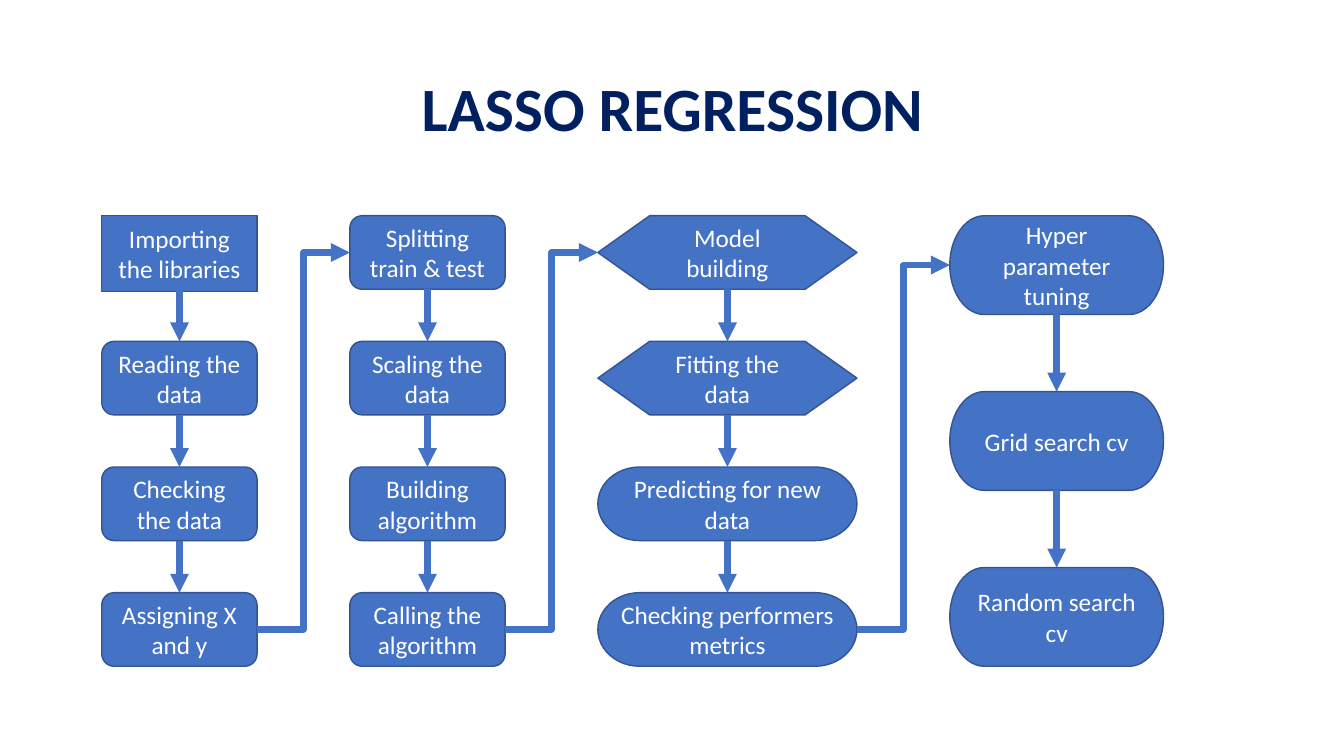
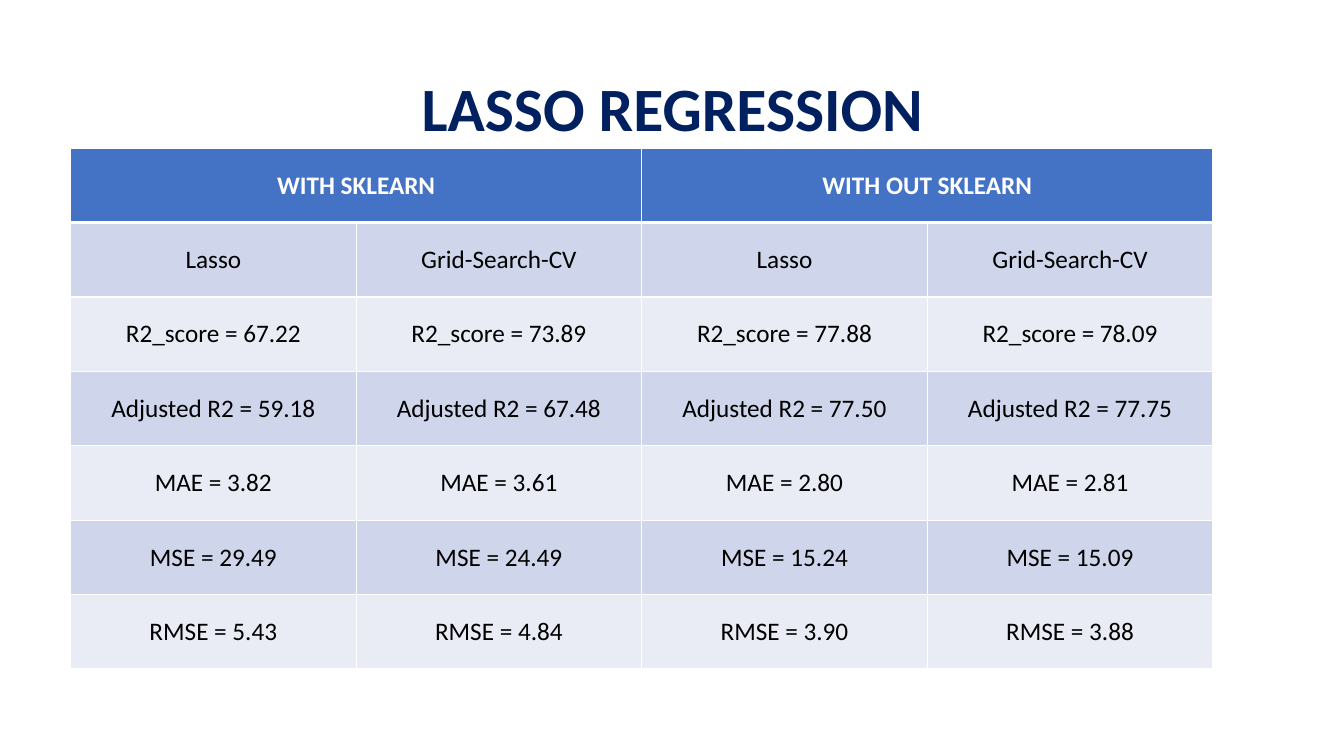
from itertools import pairwise

from lxml import etree
from pptx import Presentation
from pptx import util as u
from pptx.dml import color
from pptx.enum import shapes, text
from pptx.oxml import ns

FONT = "Calibri"
TITLE = "LASSO REGRESSION"
NAVY, BLUE, EDGE = "002060", "4472C4", "325491"
WHITE, BLACK = "FFFFFF", "000000"
BANDS = ("CFD5EA", "E9EBF5")

FLOW_TOP, FLOW_BOTTOM = 2.14, 6.61
BOTTOM_SITE, LEFT_SITE, RIGHT_SITE = 2, 1, 3

PROCESS = shapes.MSO_SHAPE.FLOWCHART_PROCESS
ROUNDED = shapes.MSO_SHAPE.FLOWCHART_ALTERNATE_PROCESS
HEXAGON = shapes.MSO_SHAPE.FLOWCHART_PREPARATION
PILL = shapes.MSO_SHAPE.FLOWCHART_TERMINATOR

# Each stage: left, width, step height, steps from top to bottom
STAGES = [
    (1.01, 1.54, 0.73, [
        (PROCESS, "Importing the libraries"),
        (ROUNDED, "Reading the data"),
        (ROUNDED, "Checking the data"),
        (ROUNDED, "Assigning X and y"),
    ]),
    (3.47, 1.54, 0.73, [
        (ROUNDED, "Splitting train & test"),
        (ROUNDED, "Scaling the data"),
        (ROUNDED, "Building algorithm"),
        (ROUNDED, "Calling the algorithm"),
    ]),
    (5.93, 2.57, 0.73, [
        (HEXAGON, "Model building"),
        (HEXAGON, "Fitting the data"),
        (PILL, "Predicting for new data"),
        (PILL, "Checking performers metrics"),
    ]),
    (9.42, 2.12, 0.98, [
        (PILL, "Hyper parameter\ntuning"),
        (PILL, "Grid search cv"),
        (PILL, "Random search cv"),
    ]),
]

LIBRARIES = ["WITH SKLEARN", "WITH OUT SKLEARN"]
METHODS = ["Lasso", "Grid-Search-CV"] * 2
METRICS = {
    "R2_score": ["67.22", "73.89", "77.88", "78.09"],
    "Adjusted R2": ["59.18", "67.48", "77.50", "77.75"],
    "MAE": ["3.82", "3.61", "2.80", "2.81"],
    "MSE": ["29.49", "24.49", "15.24", "15.09"],
    "RMSE": ["5.43", "4.84", "3.90", "3.88"],
}


def rgb(hex_code):
    """Turn a hex string into a colour."""
    return color.RGBColor.from_string(hex_code)


def write(frame, words, size, ink, bold=False):
    """Fill a text frame with centred text in one style."""
    frame.text = words
    for paragraph in frame.paragraphs:
        paragraph.alignment = text.PP_ALIGN.CENTER
        for run in paragraph.runs:
            run.font.name = FONT
            run.font.size = u.Pt(size)
            run.font.bold = bold
            run.font.color.rgb = rgb(ink)


def add_titled_slide(deck):
    """Add a title-only slide with the shared heading."""
    slide = deck.slides.add_slide(deck.slide_layouts[5])
    title = slide.shapes.title
    title.left, title.top = u.Inches(0.92), u.Inches(0.38)
    title.width, title.height = u.Inches(11.5), u.Inches(1.45)
    write(title.text_frame, TITLE, 44, NAVY, bold=True)
    title.text_frame.vertical_anchor = text.MSO_ANCHOR.MIDDLE
    title.text_frame.paragraphs[0].line_spacing = 0.9
    return slide


def add_step(slide, kind, label, left, top, width, height):
    """Add one labelled flowchart step."""
    step = slide.shapes.add_shape(
        kind, u.Inches(left), u.Inches(top), u.Inches(width), u.Inches(height))
    step.shadow.inherit = False
    step.fill.solid()
    step.fill.fore_color.rgb = rgb(BLUE)
    step.line.color.rgb = rgb(EDGE)
    step.line.width = u.Pt(1)
    write(step.text_frame, label, 18, WHITE)
    step.text_frame.word_wrap = True
    step.text_frame.vertical_anchor = text.MSO_ANCHOR.MIDDLE
    return step


def add_arrow(slide, route, source, source_site, target, target_site):
    """Join two steps with a thick arrow."""
    arrow = slide.shapes.add_connector(route, 0, 0, 0, 0)
    arrow.begin_connect(source, source_site)
    arrow.end_connect(target, target_site)
    arrow.line.color.rgb = rgb(BLUE)
    arrow.line.width = u.Pt(4.5)
    etree.SubElement(arrow.line._get_or_add_ln(), ns.qn("a:tailEnd"), type="triangle")
    etree.SubElement(arrow._element.spPr, ns.qn("a:effectLst"))


def add_stage(slide, left, width, height, steps):
    """Spread a column of steps evenly and link them downwards."""
    pitch = (FLOW_BOTTOM - FLOW_TOP - height) / (len(steps) - 1)
    column = []
    for row, (kind, label) in enumerate(steps):
        step_height = 0.75 if kind == PROCESS else height
        column.append(add_step(
            slide, kind, label, left, FLOW_TOP + row * pitch, width, step_height))
    for upper, lower in pairwise(column):
        add_arrow(slide, shapes.MSO_CONNECTOR.STRAIGHT, upper, BOTTOM_SITE, lower, 0)
    return column


def add_borders(cell, top, bottom):
    """Give a cell white borders, with the top and bottom widths in points."""
    properties = cell._tc.get_or_add_tcPr()
    widths = {"a:lnL": 1, "a:lnR": 1, "a:lnT": top, "a:lnB": bottom}
    for place, (side, width) in enumerate(widths.items()):
        border = etree.Element(ns.qn(side), w=str(u.Pt(width)))
        fill = etree.SubElement(border, ns.qn("a:solidFill"))
        etree.SubElement(fill, ns.qn("a:srgbClr"), val=WHITE)
        properties.insert(place, border)


def add_score_table(slide):
    """Add the table of scores for each library and method."""
    header = [LIBRARIES[0], "", LIBRARIES[1], ""]
    scores = [[f"{metric} = {value}" for value in values]
              for metric, values in METRICS.items()]
    rows = [header, METHODS] + scores
    table = slide.shapes.add_table(
        len(rows), len(METHODS), u.Inches(0.7), u.Inches(1.47),
        u.Inches(11.33), u.Inches(5.17)).table
    for r, row in enumerate(rows):
        is_header = r == 0
        for c, words in enumerate(row):
            cell = table.cell(r, c)
            write(cell.text_frame, words, 18, WHITE if is_header else BLACK, is_header)
            cell.vertical_anchor = text.MSO_ANCHOR.MIDDLE
            cell.fill.solid()
            cell.fill.fore_color.rgb = rgb(BLUE if is_header else BANDS[(r - 1) % 2])
            add_borders(cell, 3 if r == 1 else 1, 3 if is_header else 1)
    for first in (0, 2):
        table.cell(0, first).merge(table.cell(0, first + 1))


def add_workflow_slide(deck):
    """Build the slide with the modelling workflow."""
    slide = add_titled_slide(deck)
    stages = [add_stage(slide, *stage) for stage in STAGES]
    for current, following in pairwise(stages):
        add_arrow(slide, shapes.MSO_CONNECTOR.ELBOW,
                  current[-1], RIGHT_SITE, following[0], LEFT_SITE)


def main():
    """Build and save the presentation."""
    deck = Presentation()
    deck.slide_width, deck.slide_height = u.Inches(13.33), u.Inches(7.5)
    add_workflow_slide(deck)
    add_score_table(add_titled_slide(deck))
    deck.save("out.pptx")


main()
